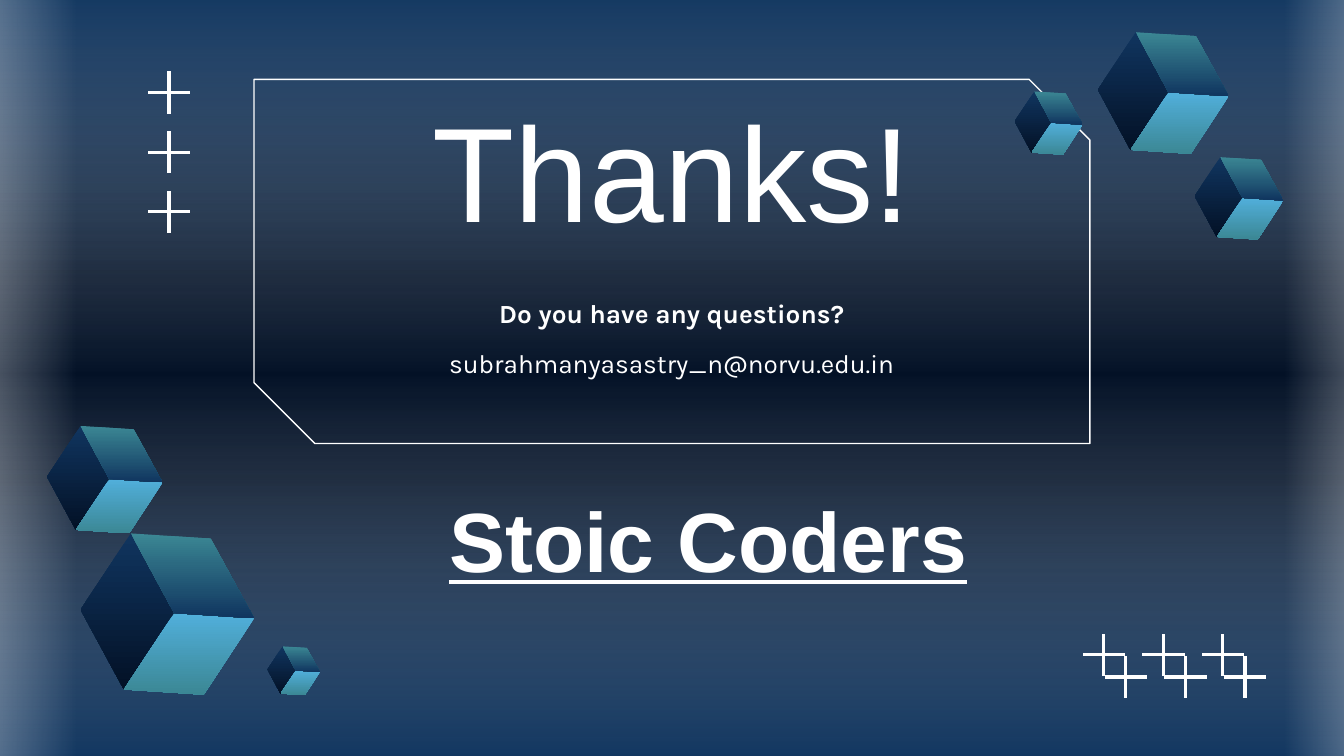
from lxml import etree
from pptx import Presentation
from pptx.dml.color import RGBColor
from pptx.enum import shapes, text
from pptx.oxml import ns
from pptx.util import Pt

WHITE = RGBColor(0xFF, 0xFF, 0xFF)
NAVY = RGBColor(0x10, 0x35, 0x5F)
MIDNIGHT = RGBColor(0x03, 0x11, 0x26)
SKY = RGBColor(0x51, 0xAF, 0xDB)
TEAL = RGBColor(0x3B, 0x87, 0x94)

WIDTH, HEIGHT = 720, 405
INSET = 7.2
PLUS_SIZE, PLUS_STROKE, PLUS_STEP = 22.7, 1.7, 31.9

# Cube corners as fractions of the cube's width.
TOP, UPPER_RIGHT, RIGHT = (0.29, 0), (0.75, 0.03), (1, 0.49)
LOWER_RIGHT, LOWER_LEFT, LEFT = (0.71, 0.93), (0.25, 0.9), (0, 0.44)
CENTRE = (0.54, 0.46)
CUBE_FACES = [
    ((TOP, LEFT, LOWER_LEFT, CENTRE), (NAVY, MIDNIGHT)),
    ((CENTRE, RIGHT, LOWER_RIGHT, LOWER_LEFT), (SKY, TEAL)),
    ((TOP, UPPER_RIGHT, RIGHT, CENTRE), (TEAL, NAVY)),
]
CUBES = [  # left, top, width
    (640, 84.2, 47.5),
    (543.6, 49, 36.4),
    (43.2, 285.8, 92.9),
    (25.2, 228.2, 61.9),
    (143.3, 346.3, 28.1),
    (588.2, 17.3, 70),
]


def set_gradient(fill, parent, stops, angle):
    """Fill with (position %, colour, opacity %) stops; parent is the XML holder of fill."""
    fill.solid()
    solid = parent.find(ns.qn("a:solidFill"))
    gradient = etree.Element(ns.qn("a:gradFill"), rotWithShape="1")
    stop_list = etree.SubElement(gradient, ns.qn("a:gsLst"))
    for position, colour, opacity in stops:
        stop = etree.SubElement(stop_list, ns.qn("a:gs"), pos=str(position * 1000))
        tint = etree.SubElement(stop, ns.qn("a:srgbClr"), val=str(colour))
        if opacity < 100:
            etree.SubElement(tint, ns.qn("a:alpha"), val=str(opacity * 1000))
    etree.SubElement(gradient, ns.qn("a:lin"), ang=str(angle * 60000), scaled="0")
    parent.replace(solid, gradient)


def add_polygon(group, points):
    corners = [(Pt(x), Pt(y)) for x, y in points]
    builder = group.shapes.build_freeform(*corners[0], scale=1.0)
    builder.add_line_segments(corners[1:], close=True)
    polygon = builder.convert_to_shape()
    polygon.shadow.inherit = False
    polygon.line.fill.background()
    return polygon


def add_glow(page, box, stops, rotation=0):
    glow = page.shapes.add_shape(shapes.MSO_SHAPE.RECTANGLE, *map(Pt, box))
    glow.shadow.inherit = False
    glow.line.fill.background()
    glow.rotation = rotation
    set_gradient(glow.fill, glow.element.spPr, stops, 180)


def add_backdrop(page):
    fill = page.background.fill
    fill.solid()
    holder = page.element.find(".//" + ns.qn("p:bgPr"))
    bands = [(0, NAVY, 100), (37, MIDNIGHT, 100), (63, MIDNIGHT, 100), (100, NAVY, 100)]
    set_gradient(fill, holder, bands, 90)

    haze = [(0, NAVY, 59), (50, WHITE, 0), (100, NAVY, 59)]
    add_glow(page, (158.4, -167.8, 418.3, 735.1), haze, rotation=270)
    edge = [(0, WHITE, 47), (100, WHITE, 0)]
    add_glow(page, (-29.5, -6.5, 70.6, 417.6), edge, rotation=180)
    add_glow(page, (688.3, -9.4, 61.2, 417.6), edge)


def add_frame(page, box):
    frame = page.shapes.add_shape(shapes.MSO_SHAPE.SNIP_2_DIAG_RECTANGLE, *map(Pt, box))
    frame.adjustments[0] = 0
    frame.adjustments[1] = 0.167
    frame.shadow.inherit = False
    frame.fill.background()
    frame.line.color.rgb = WHITE
    frame.line.width = Pt(0.75)


def add_text_area(page, box):
    area = page.shapes.add_textbox(*map(Pt, box)).text_frame
    area.word_wrap = True
    area.vertical_anchor = text.MSO_ANCHOR.MIDDLE
    area.margin_left = area.margin_right = Pt(INSET)
    area.margin_top = area.margin_bottom = Pt(INSET)
    return area


def write(para, words, size, font="Arial", bold=False, underline=False, before=0, spacing=1.0):
    para.alignment = text.PP_ALIGN.CENTER
    para.space_before = Pt(before)
    para.line_spacing = spacing
    span = para.add_run()
    span.text = words
    span.font.name = font
    span.font.size = Pt(size)
    span.font.bold = bold
    span.font.underline = underline
    span.font.color.rgb = WHITE


def add_closing(page, box):
    """Thanks over the contact lines, in two equal halves of the box."""
    left, top, width, height = box
    half = height / 2
    title = add_text_area(page, (left, top, width, half))
    write(title.paragraphs[0], "Thanks!", 72)
    contact = add_text_area(page, (left, top + half, width, half))
    write(contact.paragraphs[0], "Do you have any questions?", 14, font="Karla", bold=True)
    write(contact.add_paragraph(), "subrahmanyasastry_n@norvu.edu.in", 14, font="Karla", before=10)


def add_team_name(page, box):
    area = add_text_area(page, box)
    write(area.paragraphs[0], "Stoic Coders", 45, bold=True, underline=True, spacing=0.9)


def add_plus_signs(page, left, top, step_x=0, step_y=0):
    group = page.shapes.add_group_shape()
    middle = (PLUS_SIZE - PLUS_STROKE) / 2
    bars = [(0, middle, PLUS_SIZE, PLUS_STROKE), (middle, 0, PLUS_STROKE, PLUS_SIZE)]
    for index in range(3):
        for x, y, width, height in bars:
            x0, y0 = left + index * step_x + x, top + index * step_y + y
            x1, y1 = x0 + width, y0 + height
            bar = add_polygon(group, [(x0, y0), (x0, y1), (x1, y1), (x1, y0)])
            bar.fill.solid()
            bar.fill.fore_color.rgb = WHITE


def add_cube(page, left, top, width):
    group = page.shapes.add_group_shape()
    for corners, (upper, lower) in CUBE_FACES:
        face = add_polygon(group, [(left + x * width, top + y * width) for x, y in corners])
        set_gradient(face.fill, face.element.spPr, [(0, upper, 100), (100, lower, 100)], 90)


def main():
    deck = Presentation()
    deck.slide_width, deck.slide_height = Pt(WIDTH), Pt(HEIGHT)
    page = deck.slides.add_slide(deck.slide_layouts[6])
    add_backdrop(page)
    add_frame(page, (136.1, 42.5, 447.8, 195.1))
    add_closing(page, (176.4, 45.2, 367.2, 181))
    add_plus_signs(page, 79.2, 38.3, step_y=PLUS_STEP)
    for cube in CUBES:
        add_cube(page, *cube)
    add_plus_signs(page, 580, 339.5, step_x=PLUS_STEP)
    add_plus_signs(page, 591.8, 351.4, step_x=PLUS_STEP)
    add_team_name(page, (147.6, 252, 463.7, 80.6))
    deck.save("out.pptx")


if __name__ == "__main__":
    main()
